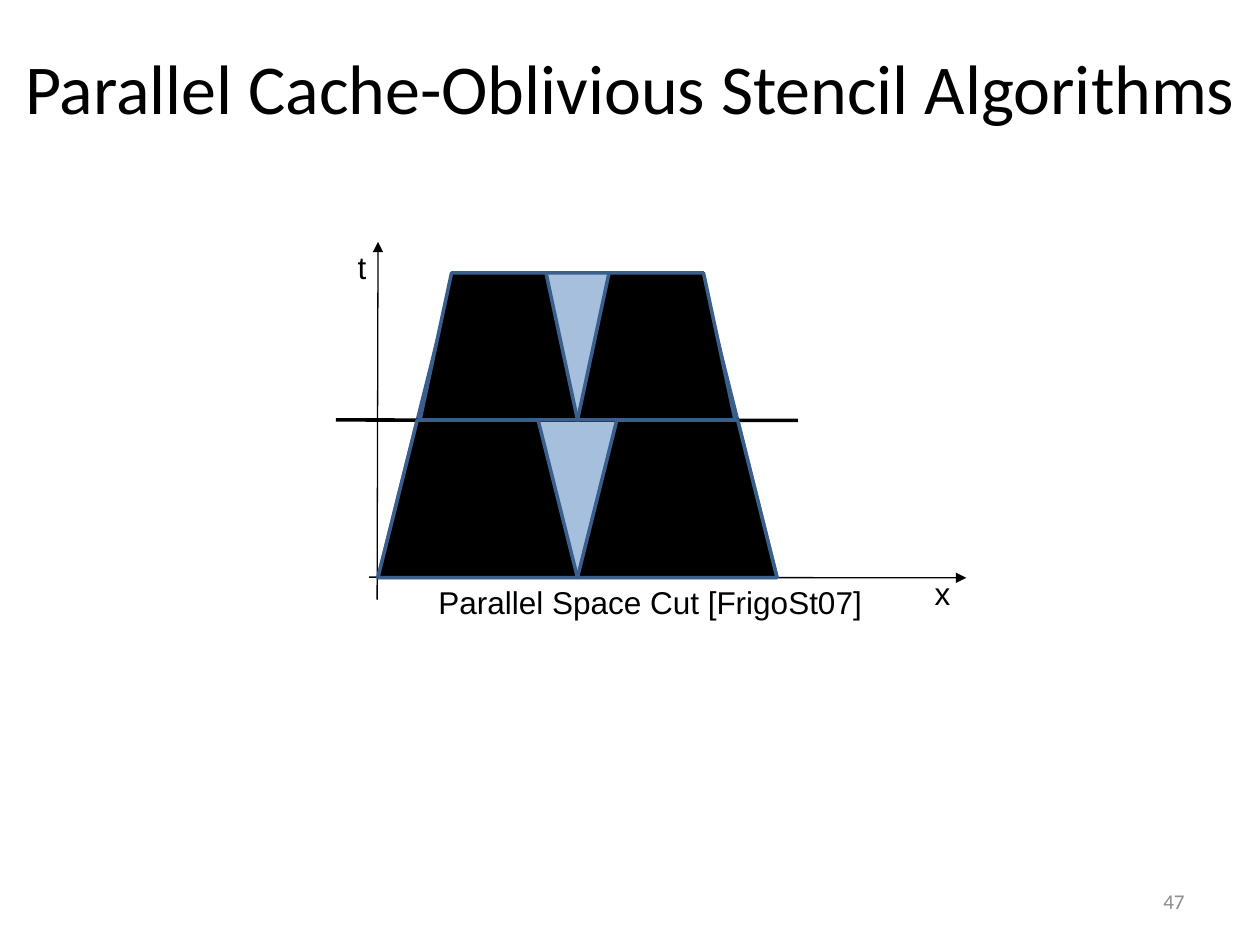
from pptx import Presentation
from pptx.dml.color import RGBColor
from pptx.enum import shapes, text
from pptx.oxml.ns import qn
from pptx.util import Pt
from lxml import etree

THEME = {
    "black": "000000", "blue": "4F81BD", "outline": "3A5F8C", "gray": "8C8C8C",
    "heading_font": "Calibri", "label_font": "Arial",
    "title": 40, "label": 18, "number": 12, "thin": 0.75, "thick": 2,
}

# Content
TITLE = "Parallel Cache-Oblivious Stencil Algorithms"
SLIDE_NUMBER = "47"
LABELS = [  # text, left, top, width
    ("t", 197.3, 138.2, 21.6),
    ("x", 527, 324.7, 25.2),
    ("Parallel Space Cut [FrigoSt07]", 243.4, 329.8, 259.2),
]
AXES = [(211, 329.8, 552.2, 330.2), (215.5, 342.7, 216, 138.2)]
TIME_CUT = (192, 240, 456, 240.2)

# Diagram geometry
LEFT, TOP, CUT, BASE = 216, 156, 240, 330
LOWER_WIDTH = 114
CENTER = LEFT + LOWER_WIDTH
UPPER_WIDTH, UPPER_INSET = 90, 18


def color(name):
    return RGBColor.from_string(THEME[name])


def format_paragraph(paragraph, font, size, ink="black"):
    for run in paragraph.runs:
        run.font.name = THEME[font]
        run.font.size = Pt(THEME[size])
        run.font.color.rgb = color(ink)


def paint(shape, fill):
    shape.shadow.inherit = False
    shape.fill.solid()
    shape.fill.fore_color.rgb = color(fill)
    shape.line.color.rgb = color("outline")
    shape.line.width = Pt(THEME["thick"])


def add_text(slide, words, left, top, width, height=28.8):
    box = slide.shapes.add_textbox(Pt(left), Pt(top), Pt(width), Pt(height))
    box.text_frame.text = words
    return box.text_frame


def add_line(slide, ends, weight, arrow=False):
    line = slide.shapes.add_connector(
        shapes.MSO_CONNECTOR.STRAIGHT, *(Pt(value) for value in ends))
    line.line.color.rgb = color("black")
    line.line.width = Pt(THEME[weight])
    properties = line._element.spPr
    if arrow:
        outline = properties.find(qn("a:ln"))
        etree.SubElement(outline, qn("a:tailEnd"), type="triangle")
    etree.SubElement(properties, qn("a:effectLst"))


def add_trapezoid(slide, left, top, width, fill):
    shape = slide.shapes.add_shape(
        shapes.MSO_SHAPE.TRAPEZOID, Pt(left), Pt(top), Pt(width), Pt(BASE - top))
    shape.adjustments[0] = 0.25
    paint(shape, fill)
    return shape


def add_upper_block(slide, left):
    right = left + UPPER_WIDTH
    builder = slide.shapes.build_freeform(Pt(left), Pt(CUT))
    builder.add_line_segments([
        (Pt(left + UPPER_INSET), Pt(TOP)),
        (Pt(right - UPPER_INSET), Pt(TOP)),
        (Pt(right), Pt(CUT)),
    ], close=True)
    paint(builder.convert_to_shape(), "black")


def main():
    presentation = Presentation()
    presentation.slide_width, presentation.slide_height = Pt(720), Pt(540)
    slide = presentation.slides.add_slide(presentation.slide_layouts[5])

    # Title
    title = slide.shapes.title
    title.left, title.top, title.width, title.height = Pt(0), Pt(21.6), Pt(720), Pt(50.4)
    frame = title.text_frame
    frame.text = TITLE
    frame.vertical_anchor = text.MSO_ANCHOR.TOP
    frame.paragraphs[0].alignment = text.PP_ALIGN.CENTER
    format_paragraph(frame.paragraphs[0], "heading_font", "title")

    # Axes
    for ends in AXES:
        add_line(slide, ends, "thin", arrow=True)

    # Whole region, its half-transparent fill showing in the wedges
    region = add_trapezoid(slide, LEFT, TOP, 2 * LOWER_WIDTH, "blue")
    fill_color = region._element.spPr.find(qn("a:solidFill"))[0]
    etree.SubElement(fill_color, qn("a:alpha"), val="50000")

    # Time cut, then the space-cut blocks above and below it
    add_line(slide, TIME_CUT, "thick")
    for left in (CENTER - UPPER_WIDTH, CENTER):
        add_upper_block(slide, left)
    for left in (LEFT, CENTER):
        add_trapezoid(slide, left, CUT, LOWER_WIDTH, "black")

    # Axis labels and caption
    for label in LABELS:
        frame = add_text(slide, *label)
        frame.word_wrap = False
        frame.auto_size = text.MSO_AUTO_SIZE.SHAPE_TO_FIT_TEXT
        format_paragraph(frame.paragraphs[0], "label_font", "label")

    # Slide number
    frame = add_text(slide, SLIDE_NUMBER, 516, 500.5, 168)
    frame.word_wrap = True
    frame.vertical_anchor = text.MSO_ANCHOR.MIDDLE
    frame.paragraphs[0].alignment = text.PP_ALIGN.RIGHT
    format_paragraph(frame.paragraphs[0], "heading_font", "number", "gray")

    presentation.save("out.pptx")


if __name__ == "__main__":
    main()
